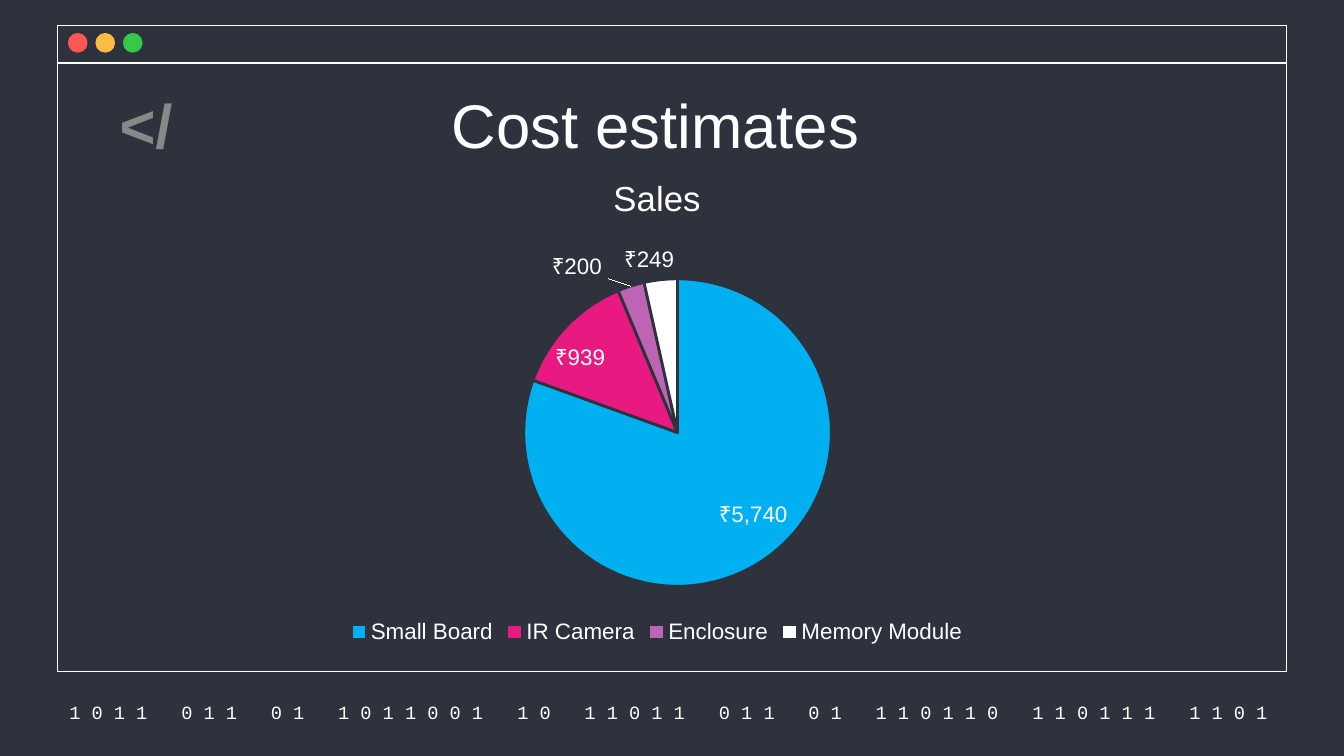
from dataclasses import dataclass
from itertools import accumulate

from lxml.etree import SubElement
from pptx import Presentation
from pptx.chart.data import CategoryChartData
from pptx.dml.color import RGBColor
from pptx.enum.chart import XL_CHART_TYPE, XL_LABEL_POSITION, XL_LEGEND_POSITION
from pptx.enum.shapes import MSO_SHAPE
from pptx.enum.text import MSO_ANCHOR, MSO_AUTO_SIZE, PP_ALIGN
from pptx.oxml.ns import qn
from pptx.util import Cm, Length, Pt

BACKGROUND = RGBColor(0x2D, 0x32, 0x3C)
WHITE = RGBColor(0xFF, 0xFF, 0xFF)
GRAY = RGBColor(0x88, 0x88, 0x88)
RED = RGBColor(0xFC, 0x57, 0x53)
YELLOW = RGBColor(0xFD, 0xBB, 0x40)
GREEN = RGBColor(0x36, 0xC8, 0x4B)
BLUE = RGBColor(0x00, 0xB0, 0xF0)
PINK = RGBColor(0xE8, 0x19, 0x81)
PURPLE = RGBColor(0xBD, 0x64, 0xB5)

BINARY_WORDS = "1011 011 01 1011001 10 11011 011 01 110110 110111 1101".split()
CHARACTER_WIDTH = Pt(6)  # Courier New at 10 pt


@dataclass
class Box:
    left: float
    top: float
    width: float
    height: float

    def lengths(self) -> tuple[Length, ...]:
        return tuple(Cm(n) for n in (self.left, self.top, self.width, self.height))


@dataclass
class Cost:
    item: str
    rupees: int
    color: RGBColor


COSTS = [
    Cost("Small Board", 5740, BLUE),
    Cost("IR Camera", 939, PINK),
    Cost("Enclosure", 200, PURPLE),
    Cost("Memory Module", 249, WHITE),
]


def set_values(target, values: dict) -> None:
    for name, value in values.items():
        setattr(target, name, value)


def set_font(font, size: float, color: RGBColor = WHITE, name: str = "Arial",
             bold: bool = False) -> None:
    set_values(font, {"size": Pt(size), "name": name, "bold": bold})
    font.color.rgb = color


def add_outlined(slide, kind: MSO_SHAPE, box: Box, fill: RGBColor, line: RGBColor,
                 line_width: float) -> None:
    shape = slide.shapes.add_shape(kind, *box.lengths())
    shape.shadow.inherit = False
    shape.fill.solid()
    shape.fill.fore_color.rgb = fill
    shape.line.color.rgb = line
    shape.line.width = Pt(line_width)


def set_tabs(paragraph, positions: list[int]) -> None:
    tab_list = SubElement(paragraph._p.get_or_add_pPr(), qn("a:tabLst"))
    for position in positions:
        SubElement(tab_list, qn("a:tab"), pos=str(int(position)), algn="l")


def add_window(slide) -> None:
    for height in (12.22, 0.71):
        add_outlined(slide, MSO_SHAPE.RECTANGLE, Box(1.09, 0.48, 23.22, height),
                     BACKGROUND, WHITE, 0.75)


def add_binary_line(slide) -> None:
    box = slide.shapes.add_textbox(*Box(0.97, 13.21, 23.55, 0.51).lengths())
    set_values(box.text_frame, {
        "word_wrap": True, "vertical_anchor": MSO_ANCHOR.MIDDLE,
        "margin_left": Cm(0.34), "margin_right": Cm(0.1),
        "margin_top": Cm(0), "margin_bottom": Cm(0)})
    paragraph = box.text_frame.paragraphs[0]
    # A spaced word of n digits takes 2n - 1 columns and is followed by a gap of 3
    columns = accumulate(2 * len(word) + 2 for word in BINARY_WORDS[:-1])
    set_tabs(paragraph, [column * CHARACTER_WIDTH for column in columns])
    run = paragraph.add_run()
    run.text = "\t".join(" ".join(word) for word in BINARY_WORDS)
    set_font(run.font, 10, name="Courier New")


def format_title(slide) -> None:
    title = slide.shapes.title
    title._element.getparent().append(title._element)  # in front of the window
    box = Box(2.01, 1.27, 21.41, 1.6)
    set_values(title, dict(zip(("left", "top", "width", "height"), box.lengths())))
    set_values(title.text_frame, {
        "word_wrap": True, "auto_size": MSO_AUTO_SIZE.NONE,
        "vertical_anchor": MSO_ANCHOR.TOP,
        "margin_left": Cm(0.25), "margin_right": Cm(0.25),
        "margin_top": Cm(0.38), "margin_bottom": Cm(0)})
    paragraph = title.text_frame.paragraphs[0]
    paragraph.alignment = PP_ALIGN.LEFT
    set_tabs(paragraph, [Cm(6.28)])
    for text, color, bold in (("</\t", GRAY, True), ("Cost estimates", WHITE, False)):
        run = paragraph.add_run()
        run.text = text
        set_font(run.font, 33, color, bold=bold)


def add_window_buttons(slide) -> None:
    for index, color in enumerate((RED, YELLOW, GREEN)):
        add_outlined(slide, MSO_SHAPE.OVAL, Box(1.32 + 0.52 * index, 0.66, 0.3, 0.3),
                     color, color, 2)


def add_cost_chart(slide) -> None:
    data = CategoryChartData()
    data.categories = [cost.item for cost in COSTS]
    data.add_series("Sales", [cost.rupees for cost in COSTS])
    chart = slide.shapes.add_chart(
        XL_CHART_TYPE.PIE, *Box(4.85, 2.87, 15.14, 9.4).lengths(), data).chart
    set_font(chart.font, 10)

    # Title and legend
    chart.has_title = True
    chart.chart_title.include_in_layout = False
    title_paragraph = chart.chart_title.text_frame.paragraphs[0]
    title_run = title_paragraph.add_run()
    title_run.text = "Sales"
    set_font(title_run.font, 18.6)
    chart.has_legend = True
    set_values(chart.legend, {"position": XL_LEGEND_POSITION.BOTTOM,
                              "include_in_layout": False})
    set_font(chart.legend.font, 12)

    # Slices and their values
    plot = chart.plots[0]
    plot.vary_by_categories = True
    series = plot.series[0]
    for index, cost in enumerate(COSTS):
        point_format = series.points[index].format
        point_format.fill.solid()
        point_format.fill.fore_color.rgb = cost.color
        point_format.line.color.rgb = BACKGROUND
        point_format.line.width = Pt(1.5)
    labels = series.data_labels
    set_values(labels, {
        "show_value": True, "position": XL_LABEL_POSITION.BEST_FIT,
        "number_format": '"₹"#,##0_);[Red]\\("₹"#,##0\\)',
        "number_format_is_linked": False})
    set_font(labels.font, 12)


def main() -> None:
    presentation = Presentation()
    set_values(presentation, {"slide_width": Cm(25.4), "slide_height": Cm(14.29)})
    slide = presentation.slides.add_slide(presentation.slide_layouts[5])
    slide.background.fill.solid()
    slide.background.fill.fore_color.rgb = BACKGROUND
    add_window(slide)
    add_binary_line(slide)
    format_title(slide)
    add_window_buttons(slide)
    add_cost_chart(slide)
    presentation.save("out.pptx")


if __name__ == "__main__":
    main()
